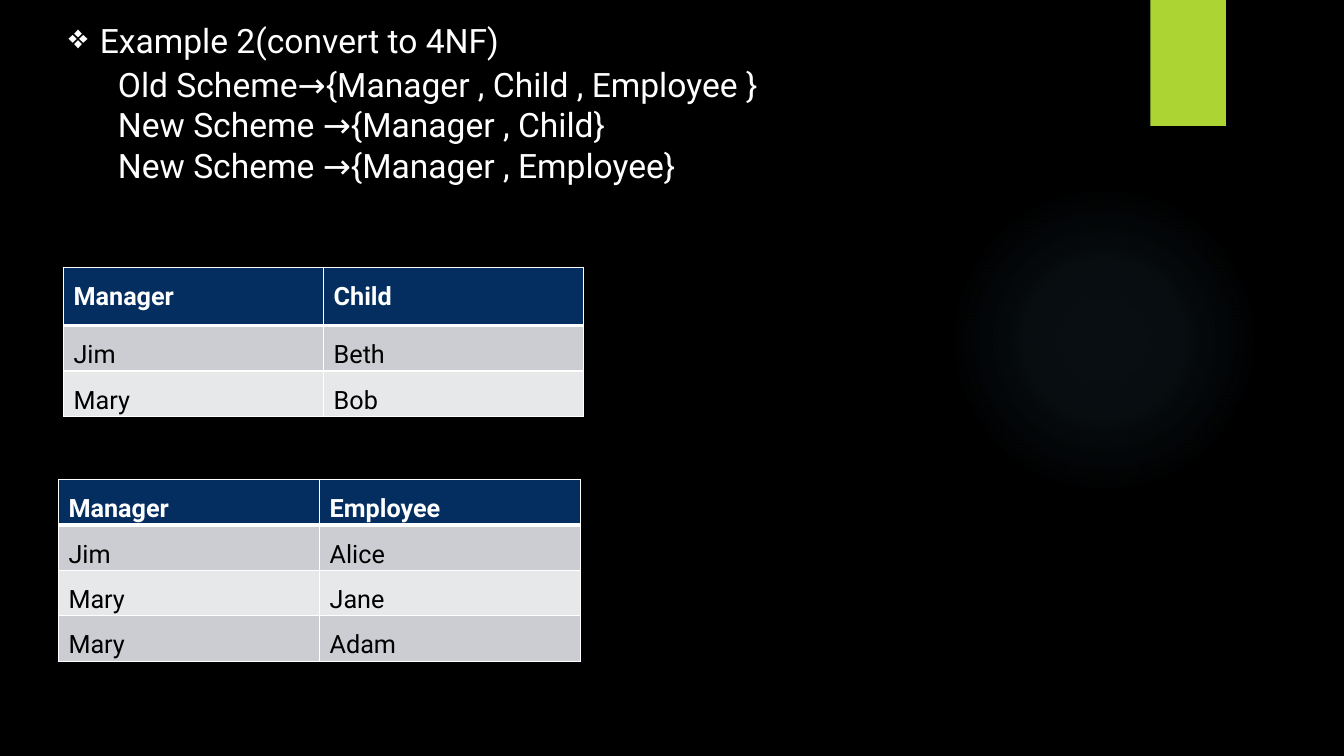
from lxml import etree
from pptx import Presentation
from pptx.dml.color import RGBColor
from pptx.enum.shapes import MSO_SHAPE as Shape
from pptx.oxml import parse_xml
from pptx.oxml.ns import nsdecls, qn
from pptx.util import Inches, Pt

FONT = "Roboto"
BLACK = RGBColor(0x00, 0x00, 0x00)
WHITE = RGBColor(0xFF, 0xFF, 0xFF)
LIME = RGBColor(0xAC, 0xD4, 0x33)
NAVY = RGBColor(0x04, 0x2E, 0x60)
BANDS = [RGBColor(0xCC, 0xCD, 0xD2), RGBColor(0xE7, 0xE8, 0xEA)]
GLOW = RGBColor(0x7A, 0xC4, 0xF0)
GLOW_STOPS = [(0, 7), (36, 6), (69, 0)]  # position %, opacity %

# Content
HEADING = "Example 2(convert to 4NF)"
SCHEMES = [
    "Old Scheme→{Manager , Child , Employee }",
    "New Scheme →{Manager , Child}",
    "New Scheme →{Manager , Employee}",
]
# left, top, column width, header height, rows
TABLES = [
    (0.63, 2.65, 2.58, 0.58,
     [("Manager", "Child"), ("Jim", "Beth"), ("Mary", "Bob")]),
    (0.58, 4.76, 2.59, 0.45,
     [("Manager", "Employee"), ("Jim", "Alice"), ("Mary", "Jane"), ("Mary", "Adam")]),
]
ROW_HEIGHT = 0.45


def add_span(para, text, size, color, bold=False):
    span = para.add_run()
    span.text = text
    span.font.name = FONT
    span.font.size = Pt(size)
    span.font.bold = bold
    span.font.color.rgb = color


def indent(para, left, hanging=0.0):
    props = para._p.get_or_add_pPr()
    props.set("marL", str(Inches(left)))
    props.set("indent", str(Inches(hanging)))
    return props


def add_border(cell, side, width):
    cell._tc.get_or_add_tcPr().append(parse_xml(
        f'<a:{side} {nsdecls("a")} w="{Pt(width)}"><a:solidFill>'
        f'<a:srgbClr val="{WHITE}"/></a:solidFill></a:{side}>'))


def add_plain_shape(page, kind, left, top, width, height):
    shape = page.shapes.add_shape(
        kind, Inches(left), Inches(top), Inches(width), Inches(height))
    shape.shadow.inherit = False
    shape.line.fill.background()
    return shape


def add_data_table(page, left, top, column_width, header_height, rows):
    heights = [header_height] + [ROW_HEIGHT] * (len(rows) - 1)
    columns = len(rows[0])
    table = page.shapes.add_table(
        len(rows), columns, Inches(left), Inches(top),
        Inches(column_width * columns), Inches(sum(heights))).table
    for column in table.columns:
        column.width = Inches(column_width)
    for index, (values, height) in enumerate(zip(rows, heights)):
        table.rows[index].height = Inches(height)
        header = index == 0
        for position, value in enumerate(values):
            cell = table.cell(index, position)
            cell.margin_left = cell.margin_right = 0
            cell.margin_top = cell.margin_bottom = 0
            # Thick rule between the header and the body
            add_border(cell, "lnL", 1)
            add_border(cell, "lnR", 1)
            add_border(cell, "lnT", 3 if index == 1 else 1)
            add_border(cell, "lnB", 3 if header else 1)
            cell.fill.solid()
            cell.fill.fore_color.rgb = NAVY if header else BANDS[(index - 1) % 2]
            para = cell.text_frame.paragraphs[0]
            para.line_spacing = 1.5
            indent(para, 0.1)
            add_span(para, value, 18, WHITE if header else BLACK, header)


deck = Presentation()
deck.slide_width, deck.slide_height = Inches(13.33), Inches(7.5)
page = deck.slides.add_slide(deck.slide_layouts[6])
page.background.fill.solid()
page.background.fill.fore_color.rgb = BLACK

# Soft round glow
glow = add_plain_shape(page, Shape.OVAL, 9.41, 1.83, 3.08, 3.08)
glow.fill.background()
stops = "".join(
    f'<a:gs pos="{place * 1000}"><a:srgbClr val="{GLOW}">'
    f'<a:alpha val="{opacity * 1000}"/></a:srgbClr></a:gs>'
    for place, opacity in GLOW_STOPS)
shape_props = glow._element.spPr
shape_props.replace(shape_props.find(qn("a:noFill")), parse_xml(
    f'<a:gradFill {nsdecls("a")}><a:gsLst>{stops}</a:gsLst><a:path path="circle">'
    '<a:fillToRect l="50000" t="50000" r="50000" b="50000"/></a:path></a:gradFill>'))

# Lime tab
tab = add_plain_shape(page, Shape.RECTANGLE, 11.41, 0, 0.75, 1.25)
tab.fill.solid()
tab.fill.fore_color.rgb = LIME

# Tables
for layout in TABLES:
    add_data_table(page, *layout)

# Heading and schemes
box = page.shapes.add_textbox(Inches(0.66), Inches(0.15), Inches(6.95), Inches(1.7))
frame = box.text_frame
frame.word_wrap = True
frame.margin_left = frame.margin_right = frame.margin_bottom = 0
frame.margin_top = Inches(0.05)
para = frame.paragraphs[0]
para.space_before = Pt(3.5)
bullet = etree.SubElement(indent(para, 0.33, -0.31), qn("a:buChar"))
bullet.set("char", "❖")
add_span(para, HEADING, 24, WHITE)
for index, scheme in enumerate(SCHEMES):
    para = frame.add_paragraph()
    para.space_before = Pt(2.5 if index == 0 else 0)
    indent(para, 0.51)
    add_span(para, scheme, 24, WHITE)

deck.save("out.pptx")
